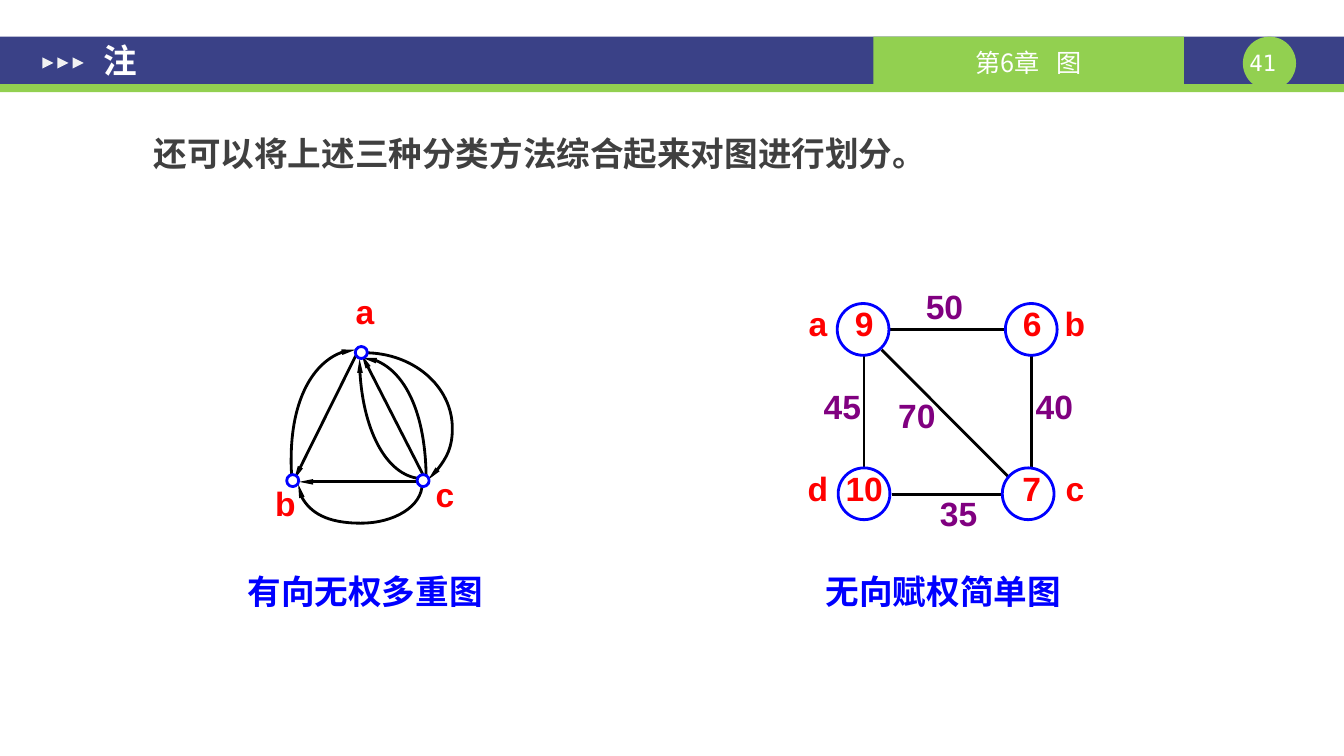
from lxml.etree import SubElement
from pptx import Presentation
from pptx.dml.color import RGBColor
from pptx.enum.shapes import MSO_CONNECTOR, MSO_SHAPE
from pptx.enum.text import MSO_ANCHOR, MSO_AUTO_SIZE, PP_ALIGN
from pptx.oxml.ns import qn
from pptx.util import Pt

RECT, OVAL, TRI = MSO_SHAPE.RECTANGLE, MSO_SHAPE.OVAL, MSO_SHAPE.ISOSCELES_TRIANGLE
LEFT, MID = PP_ALIGN.LEFT, PP_ALIGN.CENTER
TOP, CORE = MSO_ANCHOR.TOP, MSO_ANCHOR.MIDDLE
FIXED = MSO_AUTO_SIZE.NONE
STRAIGHT = MSO_CONNECTOR.STRAIGHT
HUES = {"navy": "3A4187", "green": "92D050", "white": "FFFFFF", "pale": "F2F2F2",
        "gray": "404040", "blue": "0000FF", "red": "FF0000", "purple": "800080",
        "black": "000000"}
COLOR = {name: RGBColor.from_string(code) for name, code in HUES.items()}
CJK = "Noto Sans CJK SC"


def write(shape, parts, hue, size=24, face="Arial", bold=True, align=MID, anchor=TOP,
          inset=(0, 0, 0)):
    frame = shape.text_frame
    side, head, foot = map(Pt, inset)
    look = {"word_wrap": True, "auto_size": FIXED, "vertical_anchor": anchor,
            "margin_left": side, "margin_right": side,
            "margin_top": head, "margin_bottom": foot}
    for key, value in look.items():
        setattr(frame, key, value)
    para = frame.paragraphs[0]
    para.alignment = align
    para.space_before = Pt(0)
    for part in parts:
        run = para.add_run()
        run.text = part
        for key, value in {"size": Pt(size), "bold": bold, "name": face}.items():
            setattr(run.font, key, value)
        run.font.color.rgb = COLOR[hue]
        SubElement(run.font._element, qn("a:ea"), typeface=CJK)
    return para


def ink(edge, arrow):
    edge.line.color.rgb = COLOR["black"]
    edge.line.width = Pt(2)
    props = edge._element.spPr
    if arrow:
        SubElement(props.find(qn("a:ln")), qn("a:tailEnd"), type="triangle", w="sm", len="lg")
    SubElement(props, qn("a:effectLst"))


deck = Presentation()
deck.slide_width, deck.slide_height = Pt(960.5), Pt(540)
slide = deck.slides.add_slide(deck.slide_layouts[1])
shapes = slide.shapes

bars = [(RECT, 0, 26.2, 960.5, 34, "navy"), (RECT, 0, 60.1, 960.5, 5.8, "green"),
        (OVAL, 888.2, 26.2, 38, 38, "green"), (RECT, 624.2, 26.2, 221.8, 34, "green")]
bars += [(TRI, 30.2 + 10.8 * i, 41, 8, 8, "pale") for i in range(3)]
for kind, x, y, w, h, hue in bars:
    bar = shapes.add_shape(kind, Pt(x), Pt(y), Pt(w), Pt(h))
    bar.fill.solid()
    bar.fill.fore_color.rgb = COLOR[hue]
    bar.line.fill.background()
    bar.shadow.inherit = False
    if kind == TRI:
        bar.rotation = 90
    elif h == 34 and hue == "green":
        para = write(bar, ["第6章", " ", "图"], "white", 18, CJK, False, anchor=CORE,
                     inset=(7.2, 2.9, 0))
        para.runs[1].font._element.set("spc", "800")

page = shapes.add_textbox(Pt(888.2), Pt(34.8), Pt(38), Pt(19.4))
write(page, ["41 "], "white", 16, "DejaVu Sans Mono", False)

title, body = slide.placeholders
heads = [(title, "注", "white", 12.2, 62, CORE),
         (body, "还可以将上述三种分类方法综合起来对图进行划分。", "gray", 90, 45.4, TOP)]
for holder, text, hue, y, h, anchor in heads:
    spot = {"left": 64.4, "top": y, "width": 843, "height": h}
    for key, value in spot.items():
        setattr(holder, key, Pt(value))
    para = write(holder, [text], hue, align=LEFT, anchor=anchor, inset=(9.4, 5, 5))
    if holder is body:
        props = para._p.get_or_add_pPr()
        props.set("marL", str(Pt(36)))
        props.set("indent", "0")
        SubElement(props, qn("a:buNone"))
    shapes._spTree.append(holder._element)

for text, x in [("有向无权多重图", 117.4), ("无向赋权简单图 ", 533.3)]:
    box = shapes.add_textbox(Pt(x), Pt(398.6), Pt(287), Pt(42.5))
    write(box, [text], "blue", inset=(7.2, 3.6, 3.6)).line_spacing = 1.2

lines = [(630, 249.8, 720.7, 340.6, False), (636.2, 235.4, 718.6, 235.4, False),
         (737.3, 254.2, 737.3, 334, False), (637.2, 353.1, 716.4, 353.1, False),
         (617.5, 254.2, 617.5, 334, False), (298.8, 344.2, 213.8, 344.2, True),
         (303.8, 342, 258.5, 253.4, True), (254.2, 254.2, 210.2, 342.7, True)]
for *ends, arrow in lines:
    ink(shapes.add_connector(STRAIGHT, *map(Pt, ends)), arrow)

curves = [
    [(301.7, 345.6), (301.7, 361.4), (282.2, 373.7), (257.8, 373.7),
     (233.3, 373.7), (213.1, 361.4), (213.1, 345.6)],
    [(304.6, 343.4), (304.6, 294.5), (284.4, 255.6), (259.2, 255.6)],
    [(208.8, 341.3), (208.1, 337), (208.1, 332.6), (208.1, 328.3),
     (208.1, 285.1), (229, 249.8), (254.2, 249.8)],
    [(303.1, 342), (277.2, 342), (257, 303.8), (257, 256.3)],
    [(260.6, 252), (295.2, 252), (323.3, 275.8), (323.3, 306),
     (323.3, 319.7), (316.8, 332.6), (306, 342.7)]]
for knots in curves:
    pen = shapes.build_freeform(*map(Pt, knots[0]))
    pen.add_line_segments([tuple(map(Pt, knot)) for knot in knots[1:]], close=False)
    arc = pen.convert_to_shape()
    track = next(arc._element.iter(qn("a:path")))
    steps = track.findall(qn("a:lnTo"))
    for k in range(0, len(steps), 3):
        bend = SubElement(track, qn("a:cubicBezTo"))
        for step in steps[k:k + 3]:
            bend.append(step[0])
            track.remove(step)
    arc.fill.background()
    ink(arc, True)

nodes = [(616.8, 235.3, 37), (737, 235.3, 37), (617.5, 352.7, 37), (734.8, 352.7, 37),
         (258.2, 251.8, 8.6), (209.2, 343.3, 8.6), (302.4, 343.3, 8.6)]
for x, y, d in nodes:
    node = shapes.add_shape(OVAL, Pt(x - d / 2), Pt(y - d / 2), Pt(d), Pt(d))
    if d < 10:
        node.fill.solid()
        node.fill.fore_color.rgb = COLOR["white"]
    else:
        node.fill.background()
    node.line.color.rgb = COLOR["blue"]
    node.line.width = Pt(2)
    node.shadow.inherit = False

labels = {
    "red": [("a", 584.5, 216.7), ("9", 617.7, 216.7), ("6", 737.7, 216.7), ("b", 768.2, 216.7),
            ("d", 584.5, 334), ("10", 617.6, 334), ("7", 737.3, 334), ("c", 768.2, 334),
            ("a", 260.8, 207.8), ("b", 204, 345.2), ("c", 318, 338.4)],
    "purple": [("50", 675, 204.2), ("40", 753.5, 275.8), ("70", 655.2, 282.2),
               ("35", 685, 352), ("45", 602, 275.8)]}
for hue, group in labels.items():
    for text, x, y in group:
        write(shapes.add_textbox(Pt(x - 24), Pt(y), Pt(48), Pt(28.8)), [text], hue)

deck.save("out.pptx")
